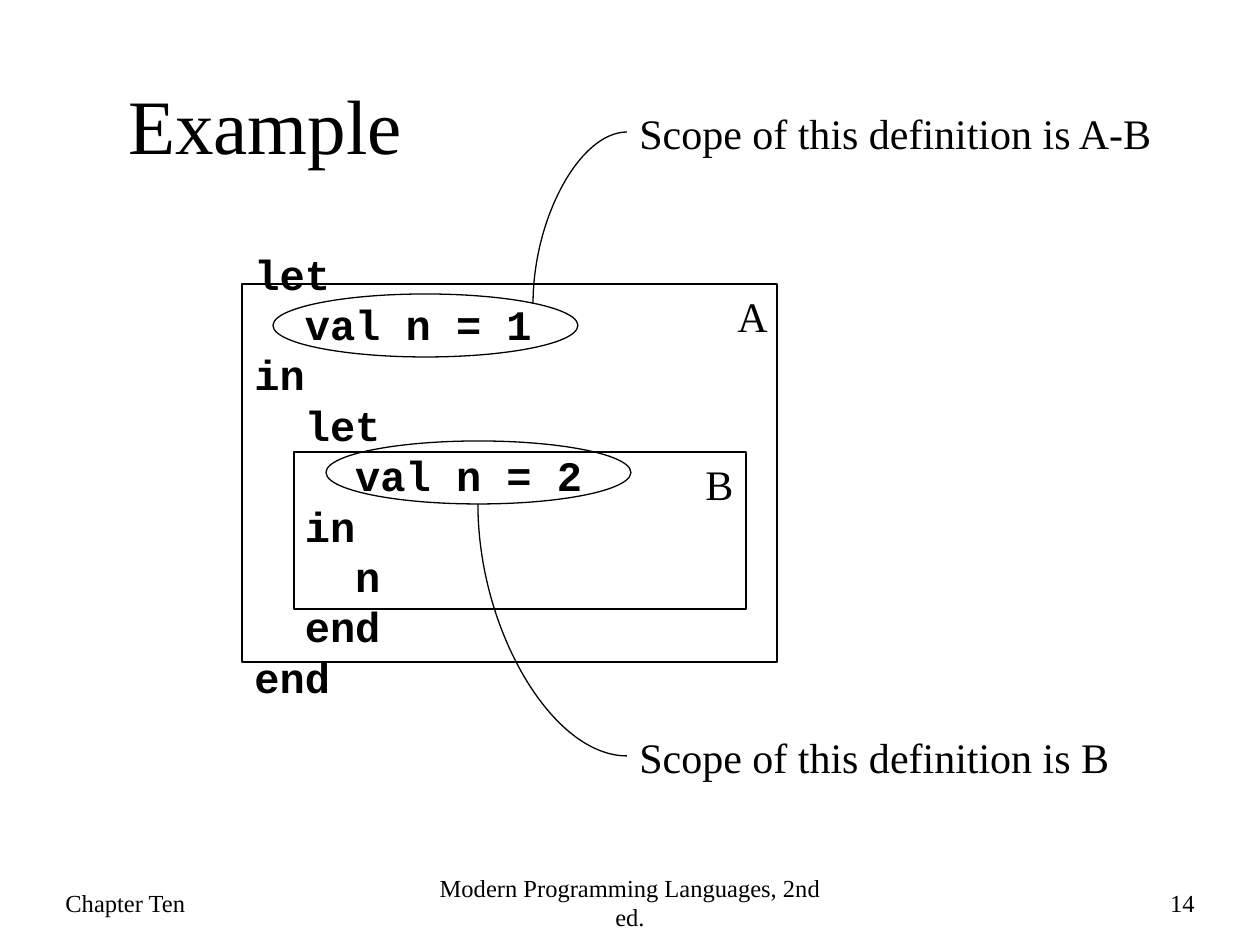
from lxml import etree
from pptx import Presentation
from pptx import util as u
from pptx.dml.color import RGBColor
from pptx.enum import shapes, text
from pptx.oxml.ns import qn

COLORS = {"ink": "000000"}
INK = RGBColor.from_string(COLORS["ink"])
SERIF, MONO = "Times New Roman", "Courier New"
LEFT, CENTER, RIGHT = text.PP_ALIGN.LEFT, text.PP_ALIGN.CENTER, text.PP_ALIGN.RIGHT
TOP, MIDDLE = text.MSO_ANCHOR.TOP, text.MSO_ANCHOR.MIDDLE


def px(*lengths):
    return [u.Emu(round(length * 914400 / 126)) for length in lengths]


def write(words, box, size, face=SERIF, align=LEFT, anchor=TOP, wrap=True, bold=False):
    frame = slide.shapes.add_textbox(*px(*box)).text_frame
    frame.word_wrap = wrap
    frame.vertical_anchor = anchor
    frame.text = words
    line = frame.paragraphs[0]
    line.alignment = align
    line.font.name = face
    line.font.size = u.Pt(size)
    line.font.bold = bold
    line.font.color.rgb = INK


deck = Presentation()
deck.slide_width, deck.slide_height = px(1260, 945)
slide = deck.slides.add_slide(deck.slide_layouts[6])

write("Example", (116, 48, 1071, 152), 44, anchor=MIDDLE)

for words, left, width, align in [
    ("Chapter Ten", 53, 283, LEFT),
    ("Modern Programming Languages, 2nd ed.", 420, 420, CENTER),
    ("14", 945, 262, RIGHT),
]:
    write(words, (left, 871, width, 63), 14, align=align, anchor=MIDDLE)

code = """let
  val n = 1
in
  let
    val n = 2
  in
    n
  end
end"""
write(code.replace("\n", "\v"), (242, 242, 399, 465), 24, face=MONO, bold=True)

for outline, box in [
    (shapes.MSO_SHAPE.RECTANGLE, (242, 284, 535, 378)),
    (shapes.MSO_SHAPE.RECTANGLE, (294, 452, 452, 157)),
    (shapes.MSO_SHAPE.OVAL, (273, 294, 305, 63)),
    (shapes.MSO_SHAPE.OVAL, (326, 441, 305, 63)),
]:
    scope = slide.shapes.add_shape(outline, *px(*box))
    scope.shadow.inherit = False
    scope.fill.background()
    scope.line.color.rgb = INK
    scope.line.width = u.Pt(0.75)

for words, left, top, width in [
    ("Scope of this definition is A-B", 627, 101, 539),
    ("Scope of this definition is B", 627, 725, 495),
    ("A", 725, 284, 55),
    ("B", 693, 452, 53),
]:
    write(words, (left, top, width, 63), 24, wrap=False)

for ends in [(627, 132, 533, 304), (627, 756, 478, 504)]:
    pointer = slide.shapes.add_connector(shapes.MSO_CONNECTOR.CURVE, *px(*ends))
    pointer.line.color.rgb = INK
    pointer.line.width = u.Pt(0.75)
    properties = pointer._element.spPr
    properties.find(qn("a:prstGeom")).set("prst", "curvedConnector2")
    etree.SubElement(properties, qn("a:effectLst"))

deck.save("out.pptx")
